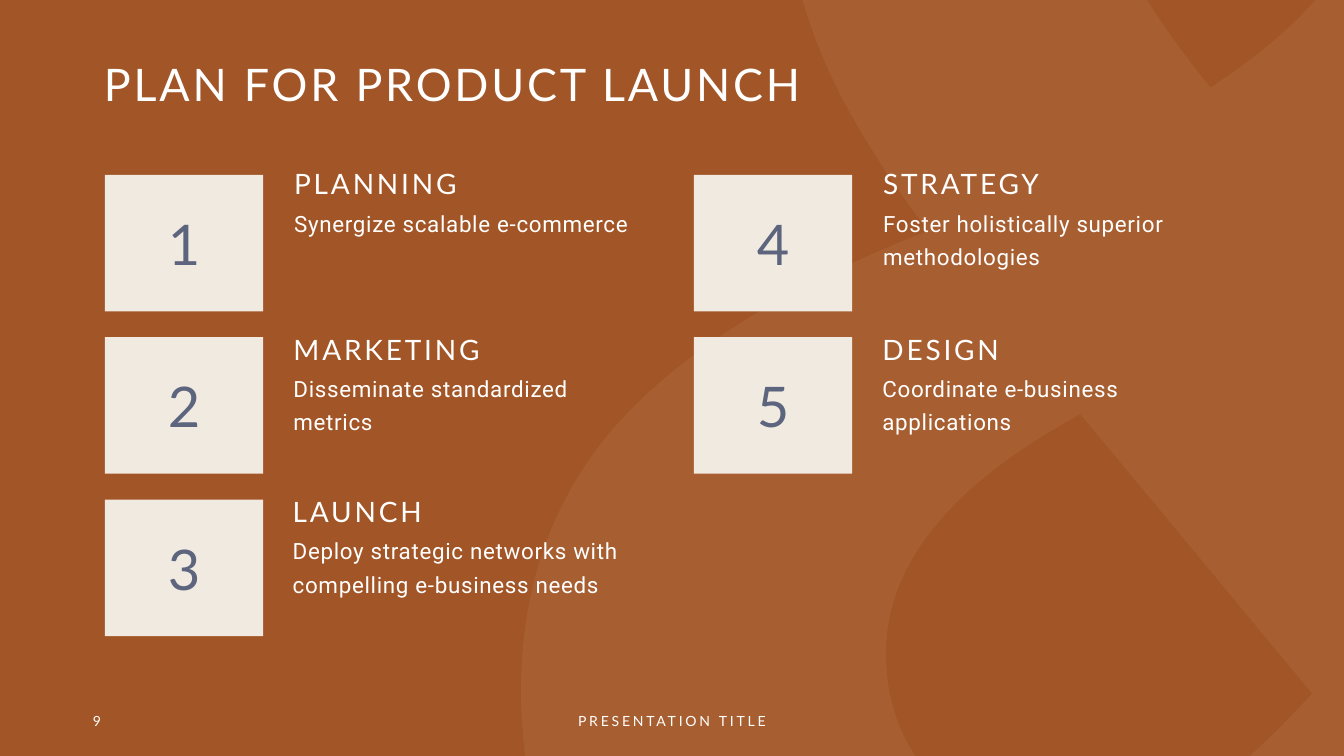
from lxml.etree import SubElement
from pptx import Presentation
from pptx.dml.color import RGBColor
from pptx.enum.shapes import MSO_SHAPE as Shape
from pptx.enum.text import MSO_ANCHOR as Anchor, MSO_AUTO_SIZE as AutoSize, PP_ALIGN as Align
from pptx.oxml.ns import qn
from pptx.util import Pt

COLORS = {"rust": "A25526", "ribbon": "D6BFA5", "cream": "F1EAE1", "slate": "5D657E", "white": "FFFFFF"}
HEAD_FONT, BODY_FONT = "Lato", "Roboto"

STEPS = [
    ("PLANNING", "Synergize scalable e-commerce"),
    ("MARKETING", "Disseminate standardized metrics"),
    ("LAUNCH", "Deploy strategic networks with compelling e-business needs"),
    ("STRATEGY", "Foster holistically superior methodologies"),
    ("DESIGN", "Coordinate e-business applications"),
]
ROWS = 3
TEXT_OFFSETS = [(128, -4.6), (127.5, -2.6), (127, -2.8)]

RIBBON_START = (663, 165)
RIBBON = [
    [(561.6, 204.5), (488.2, 250.6), (441.4, 302.4)],
    [(395.3, 354.2), (372.2, 418.3), (372.2, 493.9)],
    [(372.2, 509.8), (373.7, 525.6), (375, 540)],
    [(653.8, 540)],
    [(640, 519), (632.9, 494.5), (632.9, 466.6)],
    [(632.9, 434.9), (644.4, 404.6), (667.4, 376.6)],
    [(689.8, 348.5), (724.3, 321.8), (771.8, 295.9)],
    [(937.4, 495.4)],
    [(921.6, 512.6), (906.5, 527.8), (892.8, 540)],
    [(960, 540)],
    [(960, 0)],
    [(939.6, 0)],
    [(921.6, 20.9), (896.4, 41.8), (864.7, 62.6)],
    [(846, 39.6), (830.9, 18.7), (819.4, 0)],
    [(573.1, 0)],
    [(576.7, 10.8), (580.3, 22.3), (584.6, 33.1)],
    [(600.5, 73.4), (627.1, 117.4), (663, 165)],
]


def color(name):
    """Return the named palette colour."""
    return RGBColor.from_string(COLORS[name])


def fill_shape(shape, name):
    """Give a shape a flat fill without line or shadow."""
    shape.fill.solid()
    shape.fill.fore_color.rgb = color(name)
    shape.line.fill.background()
    shape.shadow.inherit = False


def write(shape, text, size, font=HEAD_FONT, ink="white", align=Align.LEFT,
          anchor=Anchor.TOP, line=1.0, tracking=2):
    """Write one formatted paragraph into a shape."""
    frame = shape.text_frame
    frame.word_wrap = True
    frame.auto_size = AutoSize.NONE
    frame.vertical_anchor = anchor
    para = frame.paragraphs[0]
    para.text = text
    para.alignment = align
    para.line_spacing = line
    para.space_before = Pt(0)
    para.font.size = Pt(size)
    para.font.name = font
    para.font.color.rgb = color(ink)
    para._p.get_or_add_pPr().get_or_add_defRPr().set("spc", str(int(tracking * 100)))


def add_text(page, box, text, size, **style):
    """Add a text box at the given box."""
    write(page.shapes.add_textbox(*map(Pt, box)), text, size, **style)


def bend_edges(shape, segments):
    """Turn the straight edges with three controls into cubic curves."""
    edges = list(shape._element.iter(qn("a:lnTo")))
    for edge, segment in zip(edges, segments):
        if len(segment) < 3:
            continue
        edge.tag = qn("a:cubicBezTo")
        edge.remove(edge[0])
        for x, y in segment:
            point = SubElement(edge, qn("a:pt"))
            point.set("x", str(Pt(x) - shape.left))
            point.set("y", str(Pt(y) - shape.top))


def add_ribbon(page):
    """Draw the translucent ribbon behind everything else."""
    builder = page.shapes.build_freeform(*map(Pt, RIBBON_START), scale=1.0)
    corners = [segment[-1] for segment in RIBBON]
    builder.add_line_segments([(Pt(x), Pt(y)) for x, y in corners], close=True)
    ribbon = builder.convert_to_shape()
    bend_edges(ribbon, RIBBON)
    fill_shape(ribbon, "ribbon")
    tint = ribbon._element.spPr.find(qn("a:solidFill")).find(qn("a:srgbClr"))
    SubElement(tint, qn("a:alpha")).set("val", "10000")
    page.shapes._spTree.insert(2, ribbon._element)


def add_title(page, box, text):
    """Place and format the title placeholder."""
    title = page.shapes.title
    title.left, title.top, title.width, title.height = map(Pt, box)
    write(title, text, 32, line=0.9)


def add_step(page, box, text_offset, number, heading, detail):
    """Draw a numbered card with its heading and detail to the right."""
    card = page.shapes.add_shape(Shape.RECTANGLE, *map(Pt, box))
    fill_shape(card, "cream")
    write(card, str(number), 40, ink="slate", align=Align.CENTER, anchor=Anchor.MIDDLE)
    left, top = box[0] + text_offset[0], box[1] + text_offset[1]
    add_text(page, (left, top, 265, 29), heading, 20, line=0.8)
    add_text(page, (left, top + 21.2, 265, 80), detail, 16,
             font=BODY_FONT, line=1.25, tracking=0.5)


def add_steps(page, box):
    """Lay the steps out column by column in a grid."""
    left, top, column_pitch, row_pitch = box
    for index, (heading, detail) in enumerate(STEPS):
        column, row = divmod(index, ROWS)
        card = (left + column * column_pitch, top + row * row_pitch, 113, 97.5)
        add_step(page, card, TEXT_OFFSETS[row], index + 1, heading, detail)


def add_footer(page, box):
    """Write the page number and the centred deck name."""
    left, top, width, height = box
    add_text(page, (left, top, 216, height), "9", 10, anchor=Anchor.MIDDLE)
    add_text(page, (left + (width - 324) / 2, top, 324, height), "PRESENTATION TITLE", 10,
             align=Align.CENTER, anchor=Anchor.MIDDLE)


def main():
    """Build and save the deck."""
    deck = Presentation()
    deck.slide_width, deck.slide_height = Pt(960), Pt(540)
    page = deck.slides.add_slide(deck.slide_layouts[5])
    page.background.fill.solid()
    page.background.fill.fore_color.rgb = color("rust")
    add_ribbon(page)
    add_title(page, (67, 41, 811, 42.5), "PLAN FOR PRODUCT LAUNCH")
    add_steps(page, (75, 124.9, 420.7, 116))
    add_footer(page, (59.3, 500.5, 841.4, 29))
    deck.save("out.pptx")


if __name__ == "__main__":
    main()
